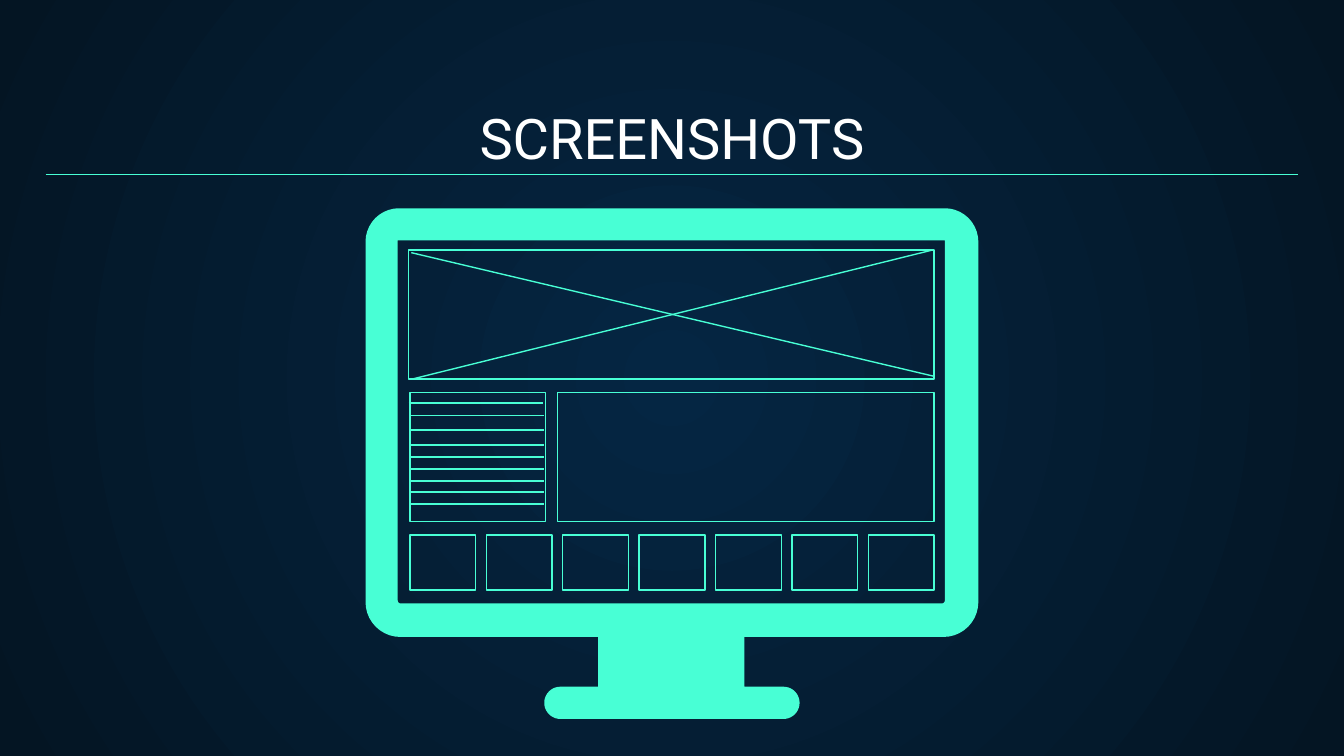
from math import cos, dist, pi, sin

from lxml.etree import SubElement
from pptx import Presentation
from pptx.dml.color import RGBColor
from pptx.enum.shapes import MSO_CONNECTOR, MSO_SHAPE
from pptx.enum.text import MSO_ANCHOR, PP_ALIGN
from pptx.oxml.ns import qn
from pptx.util import Inches, Pt

MINT = "48FFD5"
WHITE = "FFFFFF"
BACKGROUND = ("052643", "041523")

TITLE = "SCREENSHOTS"
TITLE_PLACE = (0.34, 0.71, 9.32, 0.66)

# Corners of the monitor as x, y, radius
FRAME = [
    (2.72, 1.55, 0.25), (7.28, 1.55, 0.25), (7.28, 4.74, 0.26),
    (5.54, 4.74, 0), (5.54, 5.11, 0),
    (5.95, 5.11, 0.12), (5.95, 5.35, 0.12),
    (4.05, 5.35, 0.12), (4.05, 5.11, 0.12),
    (4.45, 5.11, 0), (4.45, 4.74, 0), (2.72, 4.74, 0.26),
]
SCREEN = [(2.96, 1.79, 0), (2.96, 4.49, 0.02), (7.03, 4.49, 0.02), (7.03, 1.79, 0)]

PANELS = [(3.04, 1.86, 3.91, 0.96), (3.05, 2.92, 1.01, 0.96), (4.15, 2.92, 2.8, 0.96)]
TILE_COUNT, TILES_LEFT, TILES_RIGHT = 7, 3.05, 6.95
TILE_TOP, TILE_WIDTH, TILE_HEIGHT = 3.98, 0.49, 0.41
DIAGONALS = [(3.06, 1.88, 6.95, 2.8), (3.07, 2.82, 6.94, 1.86)]
TEXT_LINES = [3.09, 3.2, 3.31, 3.4, 3.49, 3.58, 3.66, 3.75]
FIRST_TEXT_LINE = (3.04, 3, 4.04, 3)
TITLE_RULE = (0.34, 1.3, 9.66, 1.3)


def color(value):
    return RGBColor.from_string(value)


def set_background(page, inner, outer):
    """Fill the page with a circular gradient from its centre."""
    fill = page.background.fill
    fill.gradient()
    for stop, position, value in zip(fill.gradient_stops, (0, 1), (inner, outer)):
        stop.position = position
        stop.color.rgb = color(value)
    gradient = next(page.element.iter(qn("a:gradFill")))
    gradient.remove(gradient.find(qn("a:lin")))
    circle = SubElement(gradient, qn("a:path"), {"path": "circle"})
    SubElement(circle, qn("a:fillToRect"), dict.fromkeys("ltrb", "50000"))


def add_text(page, text, place, font, size, fill):
    box = page.shapes.add_textbox(*map(Inches, place))
    frame = box.text_frame
    frame.word_wrap = True
    frame.vertical_anchor = MSO_ANCHOR.BOTTOM
    frame.margin_left = frame.margin_right = Inches(0.1)
    frame.margin_top = frame.margin_bottom = Inches(0.1)
    para = frame.paragraphs[0]
    para.alignment = PP_ALIGN.CENTER
    span = para.add_run()
    span.text = text
    span.font.name = font
    span.font.size = Pt(size)
    span.font.color.rgb = color(fill)


def rounded(corners, steps=10):
    """Return the outline points, in EMU, with each right angle rounded."""
    points = []
    for index, (x, y, radius) in enumerate(corners):
        before = corners[index - 1][:2]
        after = corners[(index + 1) % len(corners)][:2]
        (ax, ay), (bx, by) = [
            ((px - x) / dist((px, py), (x, y)), (py - y) / dist((px, py), (x, y)))
            for px, py in (before, after)
        ]
        for step in range(steps + 1 if radius else 1):
            angle = step / steps * pi / 2
            back, ahead = radius * (1 - sin(angle)), radius * (1 - cos(angle))
            points.append((Inches(x + back * ax + ahead * bx),
                           Inches(y + back * ay + ahead * by)))
    return points


def add_monitor(page):
    outer, inner = rounded(FRAME), rounded(SCREEN)
    builder = page.shapes.build_freeform(*outer[0])
    builder.add_line_segments(outer[1:], close=True)
    builder.move_to(*inner[0])
    builder.add_line_segments(inner[1:], close=True)
    monitor = builder.convert_to_shape()
    monitor.shadow.inherit = False
    monitor.fill.solid()
    monitor.fill.fore_color.rgb = color(MINT)
    monitor.line.fill.background()


def set_line(shape):
    shape.line.color.rgb = color(MINT)
    shape.line.width = Pt(0.75)


def add_outline(shapes, place):
    panel = shapes.add_shape(MSO_SHAPE.RECTANGLE, *map(Inches, place))
    panel.shadow.inherit = False
    panel.fill.background()
    set_line(panel)


def add_line(page, ends):
    line = page.shapes.add_connector(MSO_CONNECTOR.STRAIGHT, *map(Inches, ends))
    set_line(line)
    SubElement(line.element.spPr, qn("a:effectLst"))


def main():
    deck = Presentation()
    deck.slide_width = Inches(10)
    deck.slide_height = deck.slide_width * 9 // 16
    page = deck.slides.add_slide(deck.slide_layouts[6])
    set_background(page, *BACKGROUND)
    add_text(page, TITLE, TITLE_PLACE, font="Roboto", size=30, fill=WHITE)
    add_monitor(page)

    for place in PANELS:
        add_outline(page.shapes, place)
    tiles = page.shapes.add_group_shape()
    step = (TILES_RIGHT - TILES_LEFT - TILE_WIDTH) / (TILE_COUNT - 1)
    for index in range(TILE_COUNT):
        left = TILES_LEFT + index * step
        add_outline(tiles.shapes, (left, TILE_TOP, TILE_WIDTH, TILE_HEIGHT))

    text_rules = [(3.05, y, 4.05, y) for y in TEXT_LINES]
    for ends in [*DIAGONALS, *text_rules, FIRST_TEXT_LINE, TITLE_RULE]:
        add_line(page, ends)
    deck.save("out.pptx")


if __name__ == "__main__":
    main()
